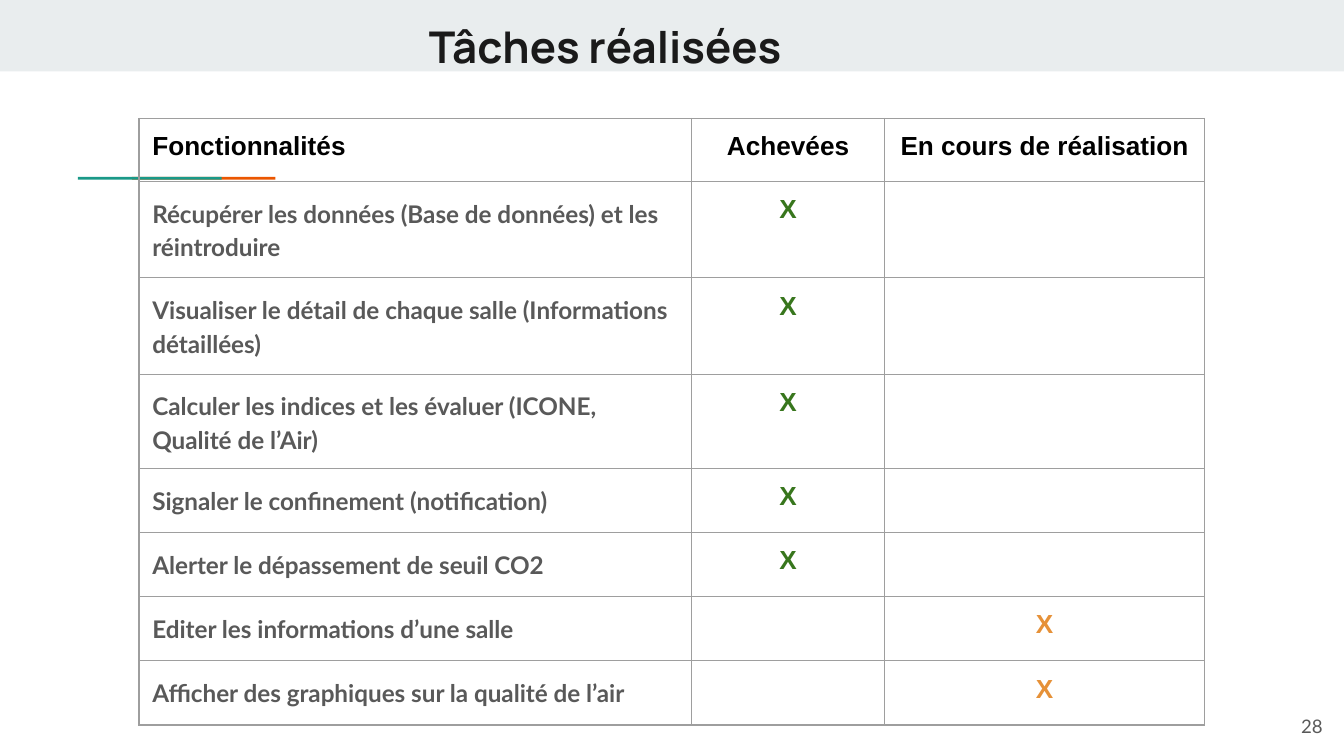
from lxml import etree
from pptx import Presentation
from pptx.dml.color import RGBColor
from pptx.enum.shapes import MSO_SHAPE
from pptx.enum.text import MSO_ANCHOR, MSO_AUTO_SIZE, PP_ALIGN
from pptx.oxml.ns import qn
from pptx.util import Pt

RECTANGLE = MSO_SHAPE.RECTANGLE
TOP, MIDDLE = MSO_ANCHOR.TOP, MSO_ANCHOR.MIDDLE
LEFT, CENTER, RIGHT = PP_ALIGN.LEFT, PP_ALIGN.CENTER, PP_ALIGN.RIGHT
NO_AUTOFIT = MSO_AUTO_SIZE.NONE

INSET = 7.2
GREY = "595959"
DONE, ONGOING = "38761D", "E69138"
BORDER = "9E9E9E"
TITLE_ONLY_LAYOUT = 5

HEADERS = ["Fonctionnalités", "Achevées", "En cours de réalisation"]
TASKS = [
    ("Récupérer les données (Base de données) et les réintroduire", DONE, 51.6),
    ("Visualiser le détail de chaque salle (Informations détaillées)", DONE, 51.6),
    ("Calculer les indices et les évaluer (ICONE, Qualité de l’Air)", DONE, 50.4),
    ("Signaler le confinement (notification)", DONE, 34.4),
    ("Alerter le dépassement de seuil CO2", DONE, 34.4),
    ("Editer les informations d’une salle", ONGOING, 34.4),
    ("Afficher des graphiques sur la qualité de l’air", ONGOING, 34.4),
]
HEADER_HEIGHT = 33.8
COLUMN_WIDTHS = [296, 103.6, 171.4]


def color(value):
    return RGBColor.from_string(value)


def set_insets(target):
    target.margin_left = target.margin_right = Pt(INSET)
    target.margin_top = target.margin_bottom = Pt(INSET)


def write(text_frame, text, size, font_name, font_color, bold=False, align=LEFT):
    paragraph = text_frame.paragraphs[0]
    paragraph.text = text
    paragraph.alignment = align
    font = paragraph.font
    font.size = Pt(size)
    font.name = font_name
    font.bold = bold
    font.color.rgb = color(font_color)
    return paragraph


def add_bar(slide, left, top, width, height, fill):
    bar = slide.shapes.add_shape(RECTANGLE, Pt(left), Pt(top), Pt(width), Pt(height))
    bar.shadow.inherit = False
    bar.fill.solid()
    bar.fill.fore_color.rgb = color(fill)
    bar.line.fill.background()
    return bar


def format_frame(shape, anchor):
    text_frame = shape.text_frame
    text_frame.word_wrap = True
    text_frame.auto_size = NO_AUTOFIT
    text_frame.vertical_anchor = anchor
    set_insets(text_frame)
    return text_frame


def add_title(slide, band, text):
    title = slide.shapes.title
    band.element.addnext(title.element)
    title.left, title.top, title.width, title.height = Pt(222.5), Pt(3.6), Pt(231), Pt(31)
    write(format_frame(title, TOP), text, 23.4, "Manrope", "1A1A1A", bold=True)


def add_page_number(slide, text):
    box = slide.shapes.add_textbox(Pt(672.5), Pt(373.7), Pt(43.2), Pt(31))
    write(format_frame(box, MIDDLE), text, 10, "Lato", GREY, align=RIGHT)


def add_borders(cell):
    properties = cell._tc.get_or_add_tcPr()
    for index, side in enumerate(("a:lnL", "a:lnR", "a:lnT", "a:lnB")):
        line = etree.Element(qn(side), w=str(Pt(0.75)))
        fill = etree.SubElement(line, qn("a:solidFill"))
        etree.SubElement(fill, qn("a:srgbClr"), val=BORDER)
        properties.insert(index, line)


def fill_cell(cell, text, size, font_name, font_color, align=CENTER):
    set_insets(cell)
    cell.vertical_anchor = TOP
    cell.fill.background()
    add_borders(cell)
    return write(cell.text_frame, text, size, font_name, font_color, True, align)


def add_task_table(slide):
    heights = [HEADER_HEIGHT] + [height for _, _, height in TASKS]
    frame = slide.shapes.add_table(
        len(heights), len(COLUMN_WIDTHS), Pt(74.4), Pt(63.5),
        Pt(sum(COLUMN_WIDTHS)), Pt(sum(heights)))
    table = frame.table
    table.first_row = table.horz_banding = False
    for column, width in zip(table.columns, COLUMN_WIDTHS):
        column.width = Pt(width)
    for row, height in zip(table.rows, heights):
        row.height = Pt(height)
    for index, header in enumerate(HEADERS):
        align = CENTER if index else LEFT
        fill_cell(table.cell(0, index), header, 14, "Arial", "000000", align)
    for index, (task, status, _) in enumerate(TASKS, start=1):
        paragraph = fill_cell(table.cell(index, 0), task, 13, "Lato", GREY, LEFT)
        paragraph.line_spacing = 1.15
        paragraph.space_after = Pt(12)
        for column, column_status in enumerate((DONE, ONGOING), start=1):
            mark = "X" if status == column_status else ""
            fill_cell(table.cell(index, column), mark, 14, "Arial", column_status)


def main():
    presentation = Presentation()
    presentation.slide_width, presentation.slide_height = Pt(720), Pt(405)
    slide = presentation.slides.add_slide(presentation.slide_layouts[TITLE_ONLY_LAYOUT])
    band = add_bar(slide, 0, 0, 720, 38.3, "E9EDEE")
    for left, fill in ((70.6, "EB5600"), (41.8, "1A9988")):
        add_bar(slide, left, 94.7, 77, 1.5, fill)
    add_title(slide, band, "Tâches réalisées")
    add_page_number(slide, "28")
    add_task_table(slide)
    presentation.save("out.pptx")


if __name__ == "__main__":
    main()
